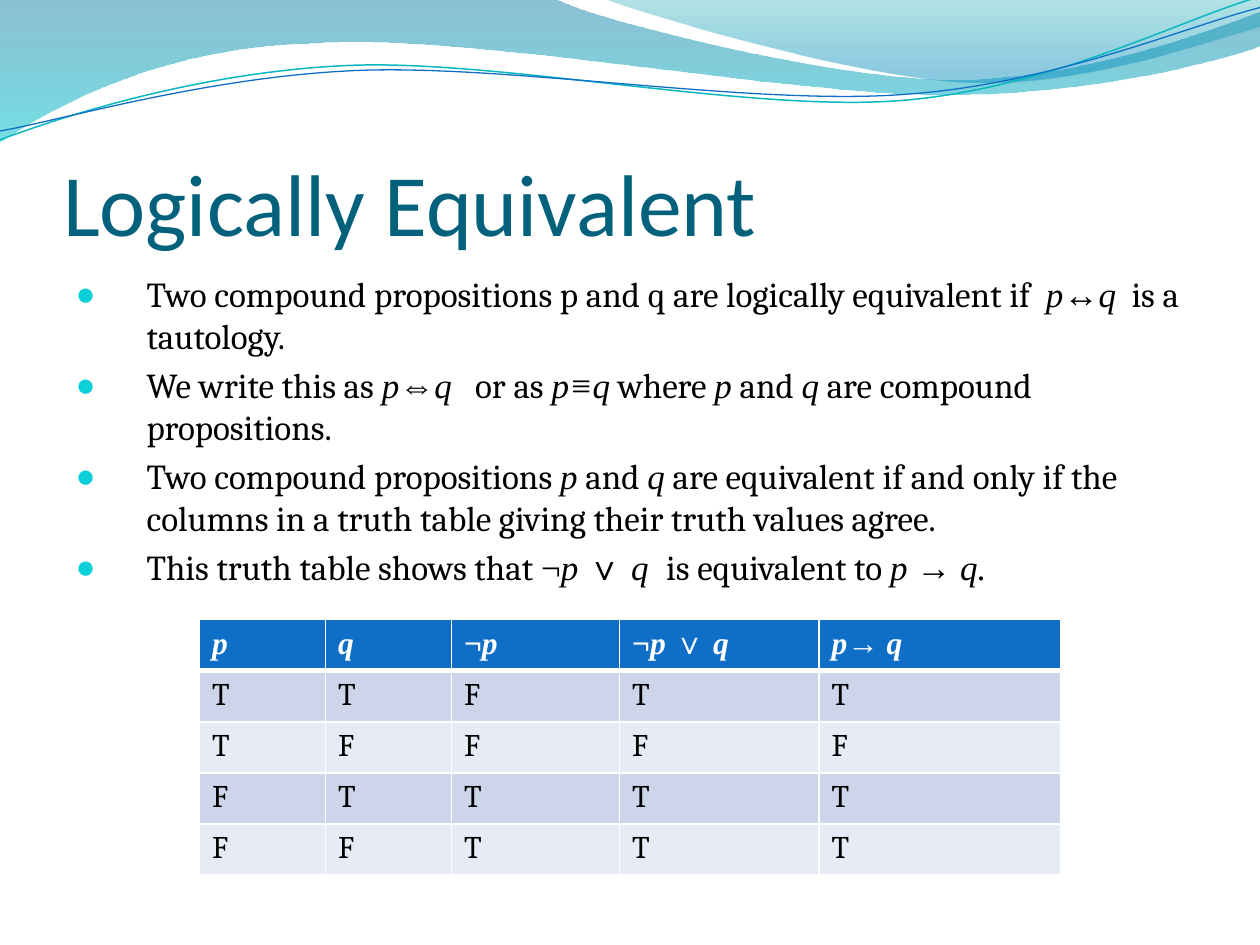
from lxml.etree import SubElement
from pptx import Presentation
from pptx.dml.color import RGBColor
from pptx.enum.text import MSO_ANCHOR as Anchor, MSO_AUTO_SIZE as AutoSize, PP_ALIGN as Align
from pptx.oxml import parse_xml
from pptx.oxml.ns import nsdecls, qn
from pptx.util import Cm, Pt

BLACK = RGBColor(0x00, 0x00, 0x00)
WHITE = RGBColor(0xFF, 0xFF, 0xFF)
TITLE_TEAL = RGBColor(0x04, 0x61, 0x7B)
BULLET_CYAN = RGBColor(0x0B, 0xD0, 0xD9)
LINE_TEAL = RGBColor(0x0A, 0xB8, 0xBF)
BLUE = RGBColor(0x0F, 0x6F, 0xC6)
BAND_DARK = RGBColor(0xCC, 0xD5, 0xEA)
BAND_LIGHT = RGBColor(0xE7, 0xEB, 0xF5)
WAVE_TOP = RGBColor(0x00, 0x74, 0xA1)
WAVE_BOTTOM = RGBColor(0x00, 0xC6, 0xCF)
CREST_TOP = RGBColor(0x00, 0xA1, 0xA9)
CREST_BOTTOM = RGBColor(0x00, 0x8B, 0xBF)

# Run kinds: (font, italic)
TEXT = ("Cambria", False)
MATH = ("Times New Roman", True)
SIGN = ("Times New Roman", False)

# Outlines in inches: a pair is a point, six numbers are a Bézier curve.
WAVE = [(0, 0), (4.4, -0.01), (4.76, 0.17, 6.64, 0.63, 7.58, 0.63),
        (8.53, 0.63, 9.58, 0.26, 10, 0.09), (10.01, 0.36),
        (9.83, 0.44, 8.7, 0.76, 7.46, 0.75), (6.22, 0.75, 3.82, 0.28, 2.57, 0.34),
        (1.29, 0.36, 0.46, 0.83, -0.01, 1.13), (0, 0)]
CREST = [(4.79, -0.01), (5.09, 0.11, 6.82, 0.62, 7.69, 0.65),
         (8.56, 0.69, 9.61, 0.32, 10, 0.21), (10, 0), (4.79, -0.01)]
TEAL_LINE = [(0, 1.11), (0.48, 0.93, 1.58, 0.57, 2.77, 0.52),
             (3.95, 0.47, 5.93, 0.89, 7.13, 0.8), (8.33, 0.71, 9.38, 0.15, 9.98, -0.02)]
BLUE_LINE = [(0, 1.04), (0.47, 0.96, 1.64, 0.61, 2.83, 0.56),
             (4.03, 0.51, 5.97, 0.84, 7.17, 0.75), (8.36, 0.67, 9.41, 0.21, 10, 0.06)]

BULLETS = [
    [("Two compound propositions p and q are logically equivalent if  ", TEXT),
     ("p↔q", MATH), ("  is a tautology.", TEXT)],
    [("We write this as ", TEXT), ("p⇔q", MATH), ("   or as ", TEXT), ("p≡q", MATH),
     (" where ", TEXT), ("p", MATH), (" and ", TEXT), ("q", MATH),
     (" are compound propositions.", TEXT)],
    [("Two compound propositions ", TEXT), ("p", MATH), (" and ", TEXT), ("q", MATH),
     (" are equivalent if and only if the columns in a truth table giving "
      "their truth values agree.", TEXT)],
    [("This truth table shows that ", TEXT), ("¬", SIGN), ("p ", MATH), ("∨ ", SIGN),
     ("q  ", MATH), ("is equivalent to ", TEXT), ("p → q.", MATH)],
]
HEADERS = [
    [("p", MATH)],
    [("q", MATH)],
    [("¬", SIGN), ("p", MATH)],
    [("¬", SIGN), ("p ", MATH), ("∨ ", SIGN), ("q", MATH)],
    [("p→ q", MATH)],
]
TRUTH_ROWS = ["TTFTT", "TFFFF", "FTTTT", "FFTTT"]
COLUMN_WIDTHS = [2.54, 2.54, 3.39, 4.02, 4.87]
ROW_HEIGHT = 1.03


def add_outline(s, outline, close):
    """Draw all points as lines, then join each curve's three lines into a Bézier."""
    start, *rest = [(Cm(2.54 * x), Cm(2.54 * y))
                    for seg in outline for x, y in zip(seg[::2], seg[1::2])]
    builder = s.shapes.build_freeform(*start)
    builder.add_line_segments(rest, close=close)
    sp = builder.convert_to_shape()
    sp.shadow.inherit = False
    lines = iter(list(sp._element.iter(qn("a:lnTo"))))
    for seg in outline[1:]:
        first = next(lines)
        if len(seg) == 6:
            curve = parse_xml(f'<a:cubicBezTo {nsdecls("a")}/>')
            first.addprevious(curve)
            for line in (first, next(lines), next(lines)):
                curve.append(line[0])
                line.getparent().remove(line)
    return sp


def add_gradient_wave(s, outline, stops):
    """Stops are (position, colour, opacity in percent), from top to bottom."""
    sp = add_outline(s, outline, True)
    sp.line.fill.background()
    sp.fill.gradient()
    sp.fill.gradient_angle = 270
    for stop, (position, color, _) in zip(sp.fill.gradient_stops, stops):
        stop.position = position
        stop.color.rgb = color
    for clr, (_, _, opacity) in zip(sp._element.iter(qn("a:srgbClr")), stops):
        SubElement(clr, qn("a:alpha"), val=str(opacity * 1000))


def add_wave_line(s, outline, color, width):
    sp = add_outline(s, outline, False)
    sp.fill.background()
    sp.line.color.rgb = color
    sp.line.width = Pt(width)


def add_runs(p, runs, size, color, bold=False):
    for text, (font, italic) in runs:
        r = p.add_run()
        r.text = text
        r.font.name, r.font.italic = font, italic
        r.font.size, r.font.bold = Pt(size), bold
        r.font.color.rgb = color


def place(sp, left, top, width, height):
    sp.left, sp.top, sp.width, sp.height = Cm(left), Cm(top), Cm(width), Cm(height)
    sp.text_frame.auto_size = AutoSize.NONE
    sp.text_frame.word_wrap = True


def fill_title(sp, text):
    place(sp, 1.27, 1.96, 22.86, 3.17)
    tf = sp.text_frame
    tf.vertical_anchor = Anchor.BOTTOM
    tf.margin_left = tf.margin_right = tf.margin_bottom = 0
    tf.text = text
    p = tf.paragraphs[0]
    p.alignment = Align.LEFT
    font = p.runs[0].font
    font.name, font.size = "Calibri", Pt(50)
    font.color.rgb = TITLE_TEAL


def set_bullet(p):
    pPr = p._p.get_or_add_pPr()
    pPr.set("marL", str(Cm(1.43)))
    pPr.set("indent", str(-Cm(1.43)))
    clr = SubElement(pPr, qn("a:buClr"))
    SubElement(clr, qn("a:srgbClr"), val=str(BULLET_CYAN))
    SubElement(pPr, qn("a:buSzPct"), val="95000")
    SubElement(pPr, qn("a:buChar"), char="●")


def fill_bullets(sp, items):
    place(sp, 1.27, 5.37, 22.86, 12.19)
    tf = sp.text_frame
    for i, runs in enumerate(items):
        p = tf.add_paragraph() if i else tf.paragraphs[0]
        p.space_before = Pt(4)
        set_bullet(p)
        add_runs(p, runs, 20, BLACK)


def set_borders(cell, bottom):
    tcPr = cell._tc.get_or_add_tcPr()
    for i, (side, width) in enumerate([("L", 1), ("R", 1), ("T", 1), ("B", bottom)]):
        tcPr.insert(i, parse_xml(
            f'<a:ln{side} {nsdecls("a")} w="{Pt(width)}"><a:solidFill>'
            f'<a:srgbClr val="{WHITE}"/></a:solidFill></a:ln{side}>'))


def add_truth_table(s):
    rows = [HEADERS] + [[[(value, TEXT)] for value in row] for row in TRUTH_ROWS]
    table = s.shapes.add_table(len(rows), len(HEADERS), Cm(4.02), Cm(12.49),
                               Cm(sum(COLUMN_WIDTHS)), Cm(ROW_HEIGHT * len(rows))).table
    for column, width in zip(table.columns, COLUMN_WIDTHS):
        column.width = Cm(width)
    for i, row in enumerate(rows):
        header = i == 0
        for j, runs in enumerate(row):
            cell = table.cell(i, j)
            cell.fill.solid()
            cell.fill.fore_color.rgb = BLUE if header else BAND_DARK if i % 2 else BAND_LIGHT
            set_borders(cell, 3 if header else 1)
            add_runs(cell.text_frame.paragraphs[0], runs, 18,
                     WHITE if header else BLACK, header)


def main():
    prs = Presentation()
    prs.slide_width, prs.slide_height = Cm(25.4), Cm(19.05)
    s = prs.slides.add_slide(prs.slide_layouts[1])
    add_gradient_wave(s, WAVE, [(0, WAVE_TOP, 45), (1, WAVE_BOTTOM, 55)])
    add_gradient_wave(s, CREST, [(0, CREST_TOP, 30), (0.8, CREST_BOTTOM, 45)])
    add_wave_line(s, TEAL_LINE, LINE_TEAL, 0.85)
    add_wave_line(s, BLUE_LINE, BLUE, 0.75)
    fill_title(s.shapes.title, "Logically Equivalent")
    fill_bullets(s.placeholders[1], BULLETS)
    add_truth_table(s)
    prs.save("out.pptx")


if __name__ == "__main__":
    main()
